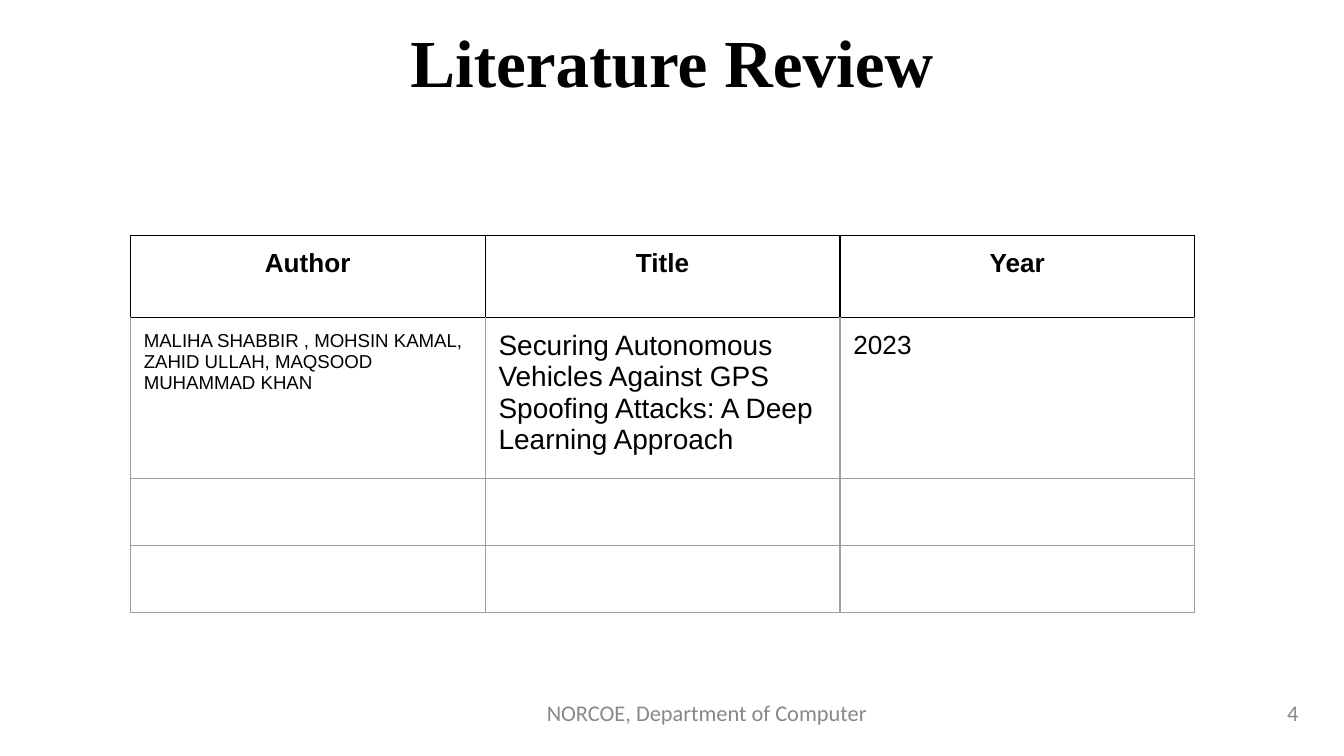
from lxml import etree
from pptx import Presentation
from pptx.dml.color import RGBColor
from pptx.enum.text import MSO_ANCHOR, PP_ALIGN
from pptx.oxml.ns import qn
from pptx.util import Inches, Pt

LEFT, CENTER, RIGHT = PP_ALIGN.LEFT, PP_ALIGN.CENTER, PP_ALIGN.RIGHT
TOP, MIDDLE = MSO_ANCHOR.TOP, MSO_ANCHOR.MIDDLE

COLORS = {"text": "000000", "footer": "888888", "header_line": "000000", "grid": "9E9E9E"}
SLIDE_W = 10
SLIDE_H = SLIDE_W * 9 / 16
MARGIN = Inches(0.1)

HEADERS = ["Author", "Title", "Year"]
# Text and size of each cell in the paper's row
PAPER = [
    ("MALIHA SHABBIR , MOHSIN KAMAL, ZAHID ULLAH, MAQSOOD MUHAMMAD KHAN", 10),
    ("Securing Autonomous Vehicles Against GPS Spoofing Attacks: A Deep Learning Approach", 15),
    ("2023", 14),
]
ROW_HEIGHTS = [0.61, 1.2, 0.5, 0.5]


def style(p, font, size, color, align, bold=False):
    p.alignment = align
    p.font.name = font
    p.font.size = Pt(size)
    p.font.bold = bold
    p.font.color.rgb = RGBColor.from_string(COLORS[color])


def add_text(slide, box, text, font, size, color, align, anchor=MIDDLE, bold=False):
    sp = slide.shapes.add_textbox(*(Inches(v) for v in box))
    tf = sp.text_frame
    tf.word_wrap = True
    tf.vertical_anchor = anchor
    p = tf.paragraphs[0]
    p.text = text
    style(p, font, size, color, align, bold)


def set_borders(cell, **sides):
    """Draw a 0.75 pt line on each side, given as side=color name."""
    tcPr = cell._tc.get_or_add_tcPr()
    for i, (side, color) in enumerate(sides.items()):
        ln = etree.Element(qn(f"a:ln{side}"), w=str(Pt(0.75)))
        fill = etree.SubElement(ln, qn("a:solidFill"))
        etree.SubElement(fill, qn("a:srgbClr"), val=COLORS[color])
        tcPr.insert(i, ln)


def fill_cell(cell, text, size, align, bold):
    cell.margin_left = cell.margin_right = MARGIN
    cell.margin_top = cell.margin_bottom = MARGIN
    cell.text = text
    style(cell.text_frame.paragraphs[0], "Arial", size, "text", align, bold)


def add_review_table(slide, box):
    x, y, w, h = (Inches(v) for v in box)
    table = slide.shapes.add_table(len(ROW_HEIGHTS), len(HEADERS), x, y, w, h).table
    table.first_row = table.horz_banding = False
    for row, height in zip(table.rows, ROW_HEIGHTS):
        row.height = Inches(height)

    # Header and paper; the remaining rows stay empty
    for c, (header, (text, size)) in enumerate(zip(HEADERS, PAPER)):
        fill_cell(table.cell(0, c), header, 14, CENTER, True)
        fill_cell(table.cell(1, c), text, size, LEFT, False)

    # Black lines around the header, grey lines below it
    for r, row in enumerate(table.rows):
        line = "header_line" if r == 0 else "grid"
        top = "header_line" if r <= 1 else "grid"
        for cell in row.cells:
            cell.fill.background()
            set_borders(cell, L=line, R=line, T=top, B=line)


def add_footer(slide, box):
    x, y, w, h = box
    # Page number at the right end, department left of it
    number_w, name_w = 0.38 * w, 0.52 * w
    add_text(slide, (x + w - number_w, y, number_w, h), "4", "Calibri", 12, "footer", RIGHT)
    add_text(slide, (x, y, name_w, h), "NORCOE, Department of Computer",
             "Calibri", 12, "footer", CENTER)


def main():
    prs = Presentation()
    prs.slide_width, prs.slide_height = Inches(SLIDE_W), Inches(SLIDE_H)
    slide = prs.slides.add_slide(prs.slide_layouts[6])

    add_footer(slide, (3.68, 5.1, 6.08, 0.4))
    add_text(slide, (-0.04, 0.1, 10.08, 0.71), "Literature Review",
             "Times New Roman", 36, "text", CENTER, TOP, True)
    add_review_table(slide, (0.97, 1.75, 7.92, sum(ROW_HEIGHTS)))

    prs.save("out.pptx")


if __name__ == "__main__":
    main()
